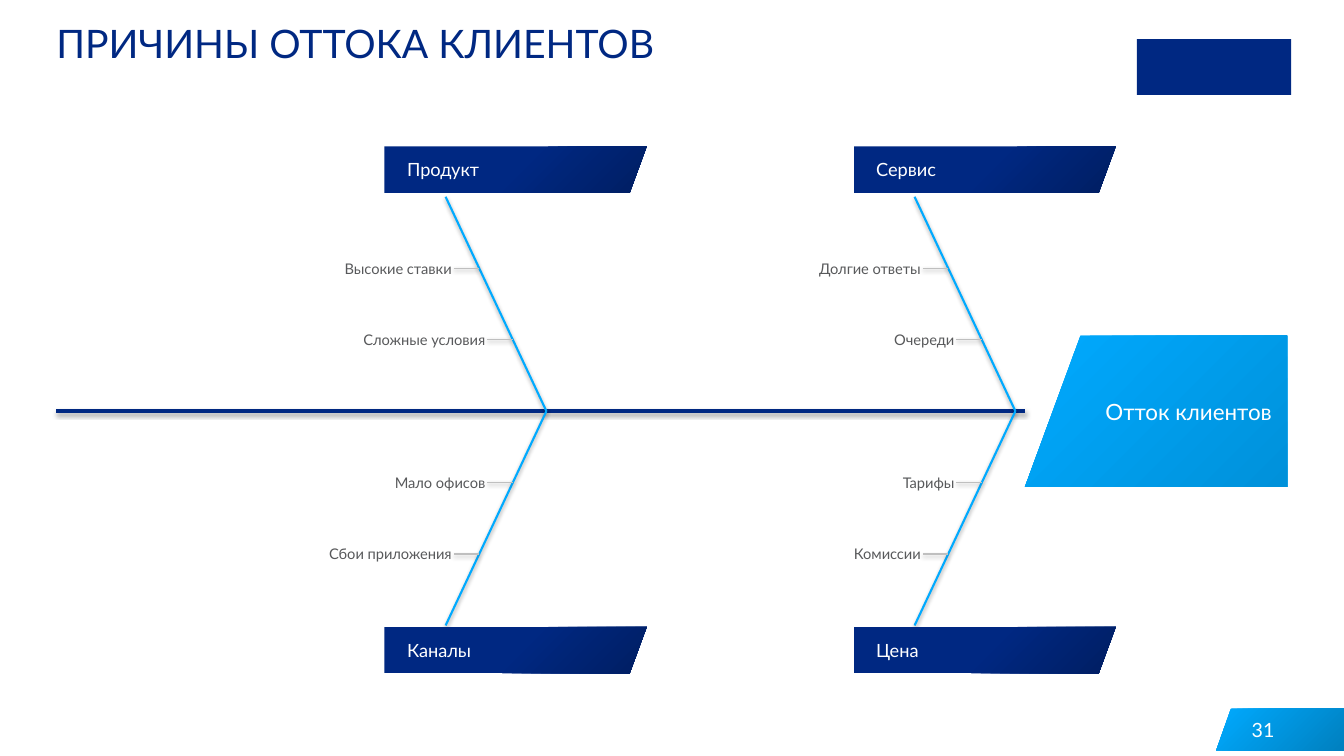
import pptx
import pptx.dml.color
import pptx.enum.shapes
import pptx.enum.text
import pptx.util

Cm = pptx.util.Cm
ALIGN = pptx.enum.text.PP_ALIGN
ANCHOR = pptx.enum.text.MSO_ANCHOR

COLORS = {
    "navy": "002882",
    "night": "001E62",
    "sky": "00AAFF",
    "azure": "0091DA",
    "sea": "0080BF",
    "twig": "BFBFBF",
    "cause": "58595B",
    "white": "FFFFFF",
}
FRAME = {
    "word_wrap": True,
    "vertical_anchor": ANCHOR.MIDDLE,
    "margin_left": 0,
    "margin_right": 0,
    "margin_top": 0,
    "margin_bottom": 0,
}
RIBS = [
    (0, True, "Продукт", ["Высокие ставки", "Сложные условия"]),
    (1, True, "Сервис", ["Долгие ответы", "Очереди"]),
    (0, False, "Каналы", ["Сбои приложения", "Мало офисов"]),
    (1, False, "Цена", ["Комиссии", "Тарифы"]),
]
SPINE_Y = 10.36
RIB_LEFT, RIB_STEP, RIB_WIDTH = 9.69, 11.82, 6.61
UPPER_TOP, LOWER_BOTTOM = 3.69, 16.97


def rgb(name):
    return pptx.dml.color.RGBColor.from_string(COLORS[name])


def add_text(slide, box, text, size, color, align=ALIGN.LEFT, **frame_changes):
    frame = slide.shapes.add_textbox(*map(Cm, box)).text_frame
    for name, value in {**FRAME, **frame_changes}.items():
        setattr(frame, name, value)
    paragraph = frame.paragraphs[0]
    paragraph.alignment = align
    run = paragraph.add_run()
    run.text = text
    for name, value in {"name": "Lato", "size": pptx.util.Pt(size)}.items():
        setattr(run.font, name, value)
    run.font.color.rgb = rgb(color)


def add_line(slide, start, end, color, width):
    line = slide.shapes.add_connector(
        pptx.enum.shapes.MSO_CONNECTOR.STRAIGHT, *map(Cm, (*start, *end))
    ).line
    line.color.rgb = rgb(color)
    line.width = pptx.util.Pt(width)


def add_panel(slide, box, stops, left_slant=0, right_slant=0):
    left, top, width, height = box
    right, bottom = left + width, top + height
    corners = [
        (left + left_slant, top),
        (right, top),
        (right - right_slant, bottom),
        (left, bottom),
    ]
    points = [(Cm(x), Cm(y)) for x, y in corners]
    builder = slide.shapes.build_freeform(*points[0])
    builder.add_line_segments(points[1:], close=True)
    panel = builder.convert_to_shape()
    panel.shadow.inherit = False
    panel.line.fill.background()
    panel.fill.gradient()
    panel.fill.gradient_angle = 315
    for stop, (position, color) in zip(panel.fill.gradient_stops, stops):
        stop.position = position
        stop.color.rgb = rgb(color)


def add_page_number(slide, box, number):
    left, top, width, height = box
    add_panel(slide, box, [(0, "sky"), (1, "sea")], left_slant=0.37)
    add_text(slide, (left + 0.3, top + 0.02, 1.42, height - 0.02), number, 14, "white",
             ALIGN.RIGHT, margin_right=Cm(0.25))


def add_emblem(slide, box):
    emblem = slide.shapes.add_shape(
        pptx.enum.shapes.MSO_SHAPE.RECTANGLE, *map(Cm, box))
    emblem.shadow.inherit = False
    emblem.fill.solid()
    emblem.fill.fore_color.rgb = rgb("navy")
    emblem.line.fill.background()


def add_effect(slide, box, effect):
    left, top, width, height = box
    add_panel(slide, box, [(0, "sky"), (1, "azure")], left_slant=1.4)
    add_text(slide, (left + 2.03, top + 0.1, width - 2.29, height - 0.2),
             effect, 16, "white")


def add_rib(slide, box, is_upper, category, causes):
    left, top, width, height = box
    banner_height, run, rise = 1.17, 2.54, 5.4
    outer_x = left + 1.54
    if is_upper:
        banner_top, spine_y, direction = top, top + height, 1
    else:
        banner_top, spine_y, direction = top + height - banner_height, top, -1
    outer_y = spine_y - direction * rise

    add_line(slide, (outer_x, outer_y), (outer_x + run, spine_y), "sky", 1.5)
    add_panel(slide, (left, banner_top, width, banner_height),
              [(0.5, "navy"), (1, "night")], right_slant=0.43)
    add_text(slide, (left + 0.57, banner_top + 0.1, width - 1.25, banner_height - 0.2),
             category, 13, "white")

    twig, gap, cause_width, cause_height = 0.64, 0.05, 4.53, 0.91
    for index, cause in enumerate(causes, 1):
        share = index / (len(causes) + 1)
        x, y = outer_x + share * run, outer_y + direction * share * rise
        add_line(slide, (x - twig, y), (x, y), "twig", 0.75)
        add_text(slide, (x - twig - gap - cause_width, y - cause_height / 2,
                         cause_width, cause_height), cause, 10.5, "cause", ALIGN.RIGHT)


def main():
    deck = pptx.Presentation()
    deck.slide_width, deck.slide_height = Cm(33.87), Cm(19.05)
    slide = deck.slides.add_slide(deck.slide_layouts[6])

    add_page_number(slide, (30.65, 17.86, 3.22, 1.05), "31")
    add_emblem(slide, (28.65, 0.99, 3.89, 1.4))
    add_text(slide, (1.42, 0.48, 26.62, 2.39), "ПРИЧИНЫ ОТТОКА КЛИЕНТОВ", 28, "navy",
             vertical_anchor=ANCHOR.TOP)
    add_line(slide, (1.42, SPINE_Y), (25.83, SPINE_Y), "navy", 2.5)
    add_effect(slide, (25.83, 8.46, 6.61, 3.81), "Отток клиентов")
    for column, is_upper, category, causes in RIBS:
        top, bottom = (UPPER_TOP, SPINE_Y) if is_upper else (SPINE_Y, LOWER_BOTTOM)
        box = (RIB_LEFT + column * RIB_STEP, top, RIB_WIDTH, bottom - top)
        add_rib(slide, box, is_upper, category, causes)

    deck.save("out.pptx")


if __name__ == "__main__":
    main()
